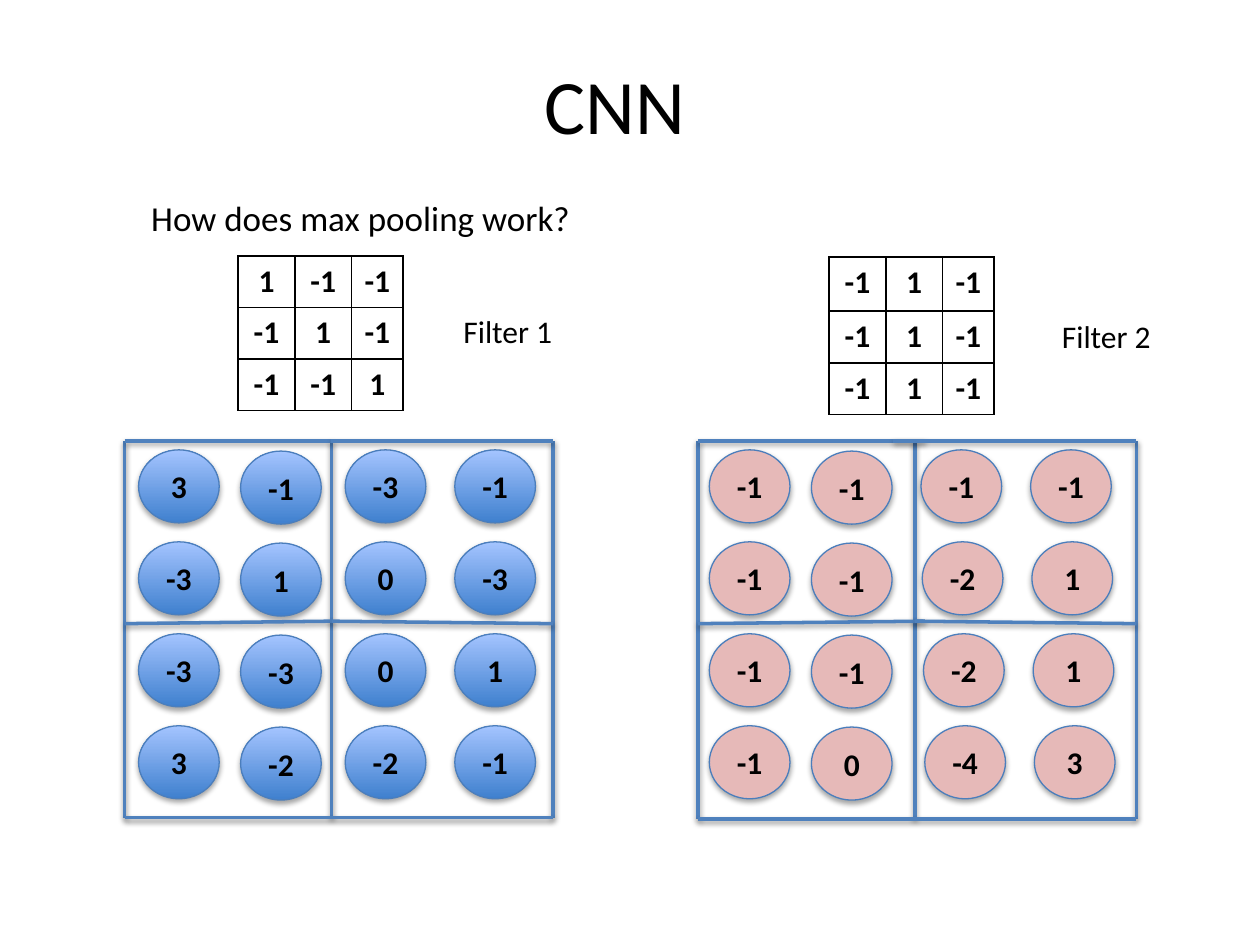
from lxml import etree
from pptx import Presentation
from pptx.dml.color import RGBColor
from pptx.enum.shapes import MSO_CONNECTOR, MSO_SHAPE
from pptx.enum.text import MSO_ANCHOR, PP_ALIGN
from pptx.oxml.ns import qn
from pptx.util import Inches, Pt

LEFT, CENTER = PP_ALIGN.LEFT, PP_ALIGN.CENTER
TOP, MIDDLE = MSO_ANCHOR.TOP, MSO_ANCHOR.MIDDLE
OVAL, STRAIGHT = MSO_SHAPE.OVAL, MSO_CONNECTOR.STRAIGHT

FONT = "Calibri"
BLACK, WHITE = "000000", "FFFFFF"
GRID_BLUE, OUTLINE_BLUE = "4F81BD", "4B7EBC"
BLUE_GRADIENT, PINK = ("3F80CE", "A4C4FF"), "E6B9B8"
CIRCLE_WIDTH, CIRCLE_HEIGHT = 0.64, 0.58
ROW_PITCH = 0.73

FILTER_1 = [[1, -1, -1], [-1, 1, -1], [-1, -1, 1]]
FILTER_2 = [[-1, 1, -1]] * 3
MAP_1 = [[3, -1, -3, -1], [-3, 1, 0, -3], [-3, -3, 0, 1], [3, -2, -2, -1]]
MAP_2 = [[-1, -1, -1, -1], [-1, -1, -2, 1], [-1, -1, -2, 1], [-1, 0, -4, 3]]


def color(hex_string):
    return RGBColor.from_string(hex_string)


def inches(*lengths):
    return [Inches(length) for length in lengths]


def write(frame, text, size=18, bold=False, align=CENTER, anchor=MIDDLE):
    frame.vertical_anchor = anchor
    paragraph = frame.paragraphs[0]
    paragraph.alignment = align
    run = paragraph.add_run()
    run.text = str(text)
    run.font.name, run.font.size, run.font.bold = FONT, Pt(size), bold
    run.font.color.rgb = color(BLACK)


def add_shadow(shape, opacity, distance):
    effects = etree.SubElement(shape._element.spPr, qn("a:effectLst"))
    shadow = etree.SubElement(
        effects, qn("a:outerShdw"), blurRad=str(Pt(3.1)),
        dist=str(Pt(distance)), dir="5400000", rotWithShape="0")
    tint = etree.SubElement(shadow, qn("a:srgbClr"), val=BLACK)
    etree.SubElement(tint, qn("a:alpha"), val=str(opacity * 1000))


def fill_placeholder(placeholder, box, text, **text_format):
    (placeholder.left, placeholder.top,
     placeholder.width, placeholder.height) = inches(*box)
    write(placeholder.text_frame, text, **text_format)


def add_label(slide, box, text):
    frame = slide.shapes.add_textbox(*inches(*box)).text_frame
    frame.word_wrap = False
    write(frame, text, anchor=TOP)


def add_borders(cell):
    properties = cell._tc.get_or_add_tcPr()
    for index, side in enumerate(("lnL", "lnR", "lnT", "lnB")):
        line = etree.Element(qn(f"a:{side}"), w=str(Pt(1)))
        fill = etree.SubElement(line, qn("a:solidFill"))
        etree.SubElement(fill, qn("a:srgbClr"), val=BLACK)
        properties.insert(index, line)


def add_filter(slide, left, top, values, row_heights):
    widths = (0.45, 0.45, 0.41)
    table = slide.shapes.add_table(
        3, 3, *inches(left, top, sum(widths), sum(row_heights))).table
    for column, width in zip(table.columns, widths):
        column.width = Inches(width)
    for row, height, numbers in zip(table.rows, row_heights, values):
        row.height = Inches(height)
        for cell, number in zip(row.cells, numbers):
            cell.fill.solid()
            cell.fill.fore_color.rgb = color(WHITE)
            write(cell.text_frame, number, bold=True, anchor=TOP)
            add_borders(cell)


def add_circle(slide, left, top, number, fill):
    circle = slide.shapes.add_shape(
        OVAL, *inches(left, top, CIRCLE_WIDTH, CIRCLE_HEIGHT))
    if isinstance(fill, tuple):
        circle.fill.gradient()
        circle.fill.gradient_angle = 90
        for stop, shade, position in zip(circle.fill.gradient_stops, fill, (0, 1)):
            stop.color.rgb, stop.position = color(shade), position
    else:
        circle.fill.solid()
        circle.fill.fore_color.rgb = color(fill)
    circle.line.color.rgb = color(OUTLINE_BLUE)
    circle.line.width = Pt(0.75)
    add_shadow(circle, opacity=35, distance=1.8)
    frame = circle.text_frame
    frame.word_wrap = False
    frame.margin_left = frame.margin_right = 0
    write(frame, number, bold=True)


def add_feature_map(slide, box, values, fill, columns, split, drift=0, overlap=(0, 0)):
    """Circles in four pooling regions; drift moves the right half per row."""
    left, top, width, height = box
    for row, numbers in enumerate(values):
        for column, number in enumerate(numbers):
            x = left + columns[column] + (drift * row if column > 1 else 0)
            y = top + 0.07 + ROW_PITCH * row + (0.01 if column == 1 else 0)
            add_circle(slide, x, y, number, fill)

    # Region borders: the middle row rises slightly towards the split
    right, bottom, center = left + width, top + height, left + split
    middle = top + 1.43
    left_end, right_start = center + overlap[0], center - overlap[1]
    lines = [(x, top, x, bottom) for x in (left, center, right)]
    lines += [(left, top, left_end, top), (right_start, top, right, top),
              (left, middle + 0.02, left_end, middle),
              (center, middle, right, middle + 0.02),
              (left, bottom, right, bottom)]
    for ends in lines:
        line = slide.shapes.add_connector(STRAIGHT, *inches(*ends))
        line.line.color.rgb = color(GRID_BLUE)
        line.line.width = Pt(2)
        add_shadow(line, opacity=38, distance=1.6)


def main():
    presentation = Presentation()
    presentation.slide_width, presentation.slide_height = inches(10, 7.5)
    slide = presentation.slides.add_slide(presentation.slide_layouts[0])

    # Heading and question
    fill_placeholder(slide.shapes.title, (0.63, 0.39, 8.5, 0.86), "CNN", size=44)
    fill_placeholder(slide.placeholders[1], (1.1, 1.51, 7.51, 5.28),
                     "How does max pooling work?", size=20, align=LEFT, anchor=TOP)

    # Filters
    add_filter(slide, 1.89, 2.03, FILTER_1, (0.41, 0.41, 0.41))
    add_label(slide, (3.57, 2.43, 0.92, 0.4), "Filter 1")
    add_filter(slide, 6.58, 2.04, FILTER_2, (0.43, 0.41, 0.41))
    add_label(slide, (8.32, 2.47, 0.92, 0.4), "Filter 2")

    # Feature maps
    add_feature_map(slide, (0.99, 3.5, 3.4, 2.99), MAP_1, BLUE_GRADIENT,
                    columns=(0.11, 0.92, 1.75, 2.62), split=1.64)
    add_feature_map(slide, (5.54, 3.5, 3.48, 3), MAP_2, PINK,
                    columns=(0.09, 0.9, 1.77, 2.64), split=1.72,
                    drift=0.01, overlap=(0.08, 0.17))

    presentation.save("out.pptx")


if __name__ == "__main__":
    main()
